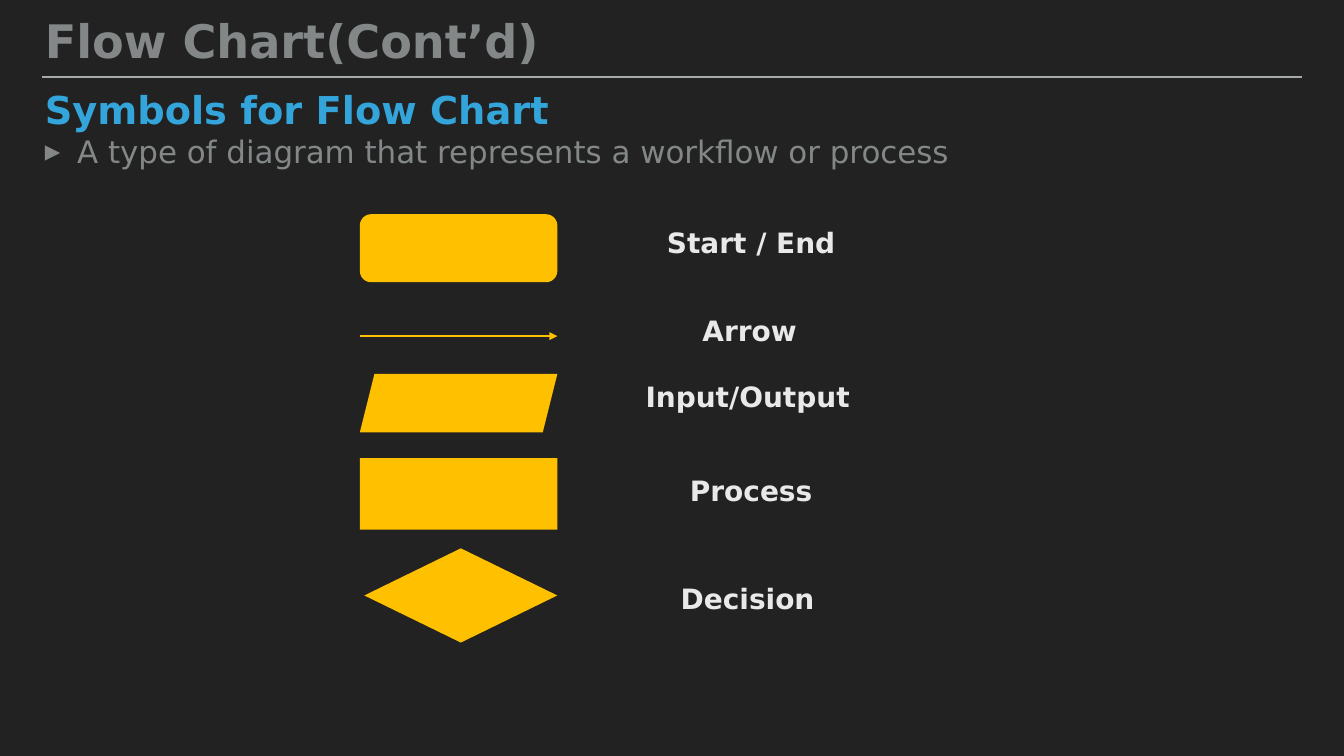
from lxml import etree
from pptx import Presentation
from pptx.dml.color import RGBColor
from pptx.enum.shapes import MSO_CONNECTOR, MSO_SHAPE as SHAPE
from pptx.enum.text import MSO_ANCHOR as ANCHOR, PP_ALIGN as ALIGN
from pptx.oxml.ns import qn
from pptx.util import Inches, Pt

DARK = RGBColor(0x22, 0x22, 0x22)
RULE = RGBColor(0xA6, 0xAA, 0xA9)
GRAY = RGBColor(0x83, 0x87, 0x87)
BLUE = RGBColor(0x34, 0xA5, 0xDA)
AMBER = RGBColor(0xFF, 0xC0, 0x00)
PALE = RGBColor(0xE9, 0xE9, 0xE9)
FONT = "DejaVu Sans"

MARGIN, CONTENT_W = 0.83, 25
SYMBOL_RIGHT = 11.06
LABEL_W, LABEL_H = 7.69, 1.39

TITLE = "Flow Chart(Cont’d)"
SUBTITLE = "Symbols for Flow Chart"
BULLET = "A type of diagram that represents a workflow or process"
SYMBOLS = [
    ("Start / End", SHAPE.ROUNDED_RECTANGLE, 4.25, 3.92, 1.35, 11.06, 4.17),
    ("Arrow", None, 6.67, 3.92, 0, 11.03, 5.93),
    ("Input/Output", SHAPE.PARALLELOGRAM, 7.42, 3.92, 1.16, 10.99, 7.23),
    ("Process", SHAPE.RECTANGLE, 9.09, 3.92, 1.42, 11.06, 9.09),
    ("Decision", SHAPE.DIAMOND, 10.88, 3.83, 1.87, 10.99, 11.23),
]


def add_text(s, text, box, size, color, bold=True, anchor=ANCHOR.TOP,
             align=ALIGN.LEFT, spacing=0.8):
    tf = s.shapes.add_textbox(*map(Inches, box)).text_frame
    tf.word_wrap = True
    tf.vertical_anchor = anchor
    tf.margin_left = tf.margin_right = Inches(0.06)
    tf.margin_top = tf.margin_bottom = Inches(0.06)
    p = tf.paragraphs[0]
    p.alignment = align
    p.line_spacing = spacing
    r = p.add_run()
    r.text = text
    r.font.name = FONT
    r.font.size = Pt(size)
    r.font.bold = bold
    r.font.color.rgb = color
    return p


def add_bullet(p, char, color, indent):
    pPr = p._p.get_or_add_pPr()
    pPr.set("marL", str(Inches(indent)))
    pPr.set("indent", str(-Inches(indent)))
    clr = etree.SubElement(pPr, qn("a:buClr"))
    etree.SubElement(clr, qn("a:srgbClr"), val=str(color))
    etree.SubElement(pPr, qn("a:buFont"), typeface=FONT)
    etree.SubElement(pPr, qn("a:buChar"), char=char)


def add_line(s, left, right, y, color, width, arrow=False):
    line = s.shapes.add_connector(MSO_CONNECTOR.STRAIGHT, Inches(left), Inches(y),
                                  Inches(right), Inches(y))
    line.line.color.rgb = color
    line.line.width = Pt(width)
    if arrow:
        etree.SubElement(line.line._get_or_add_ln(), qn("a:tailEnd"), type="triangle")
    etree.SubElement(line._element.spPr, qn("a:effectLst"))


def add_symbol(s, kind, left, top, width, height):
    sp = s.shapes.add_shape(kind, *map(Inches, (left, top, width, height)))
    sp.shadow.inherit = False
    sp.fill.solid()
    sp.fill.fore_color.rgb = AMBER
    sp.line.fill.background()


prs = Presentation()
prs.slide_width, prs.slide_height = Inches(26.67), Inches(15)
s = prs.slides.add_slide(prs.slide_layouts[6])
s.background.fill.solid()
s.background.fill.fore_color.rgb = DARK

add_line(s, MARGIN, MARGIN + CONTENT_W, 1.53, RULE, 2)
add_text(s, TITLE, (MARGIN, 0.19, 22.92, 1.2), 66, GRAY, anchor=ANCHOR.BOTTOM)
add_text(s, SUBTITLE, (MARGIN, 1.83, CONTENT_W, 1.11), 54.8, BLUE)
p = add_text(s, BULLET, (MARGIN, 2.57, CONTENT_W, 2.43), 44.2, GRAY,
             bold=False, spacing=1.0)
add_bullet(p, "▸", GRAY, 0.64)

for label, kind, top, width, height, label_left, label_top in SYMBOLS:
    left = SYMBOL_RIGHT - width
    if kind is None:
        add_line(s, left, SYMBOL_RIGHT, top, AMBER, 3.75, arrow=True)
    else:
        add_symbol(s, kind, left, top, width, height)
    add_text(s, label, (label_left, label_top, LABEL_W, LABEL_H), 40, PALE,
             anchor=ANCHOR.MIDDLE, align=ALIGN.CENTER)

prs.save("out.pptx")
